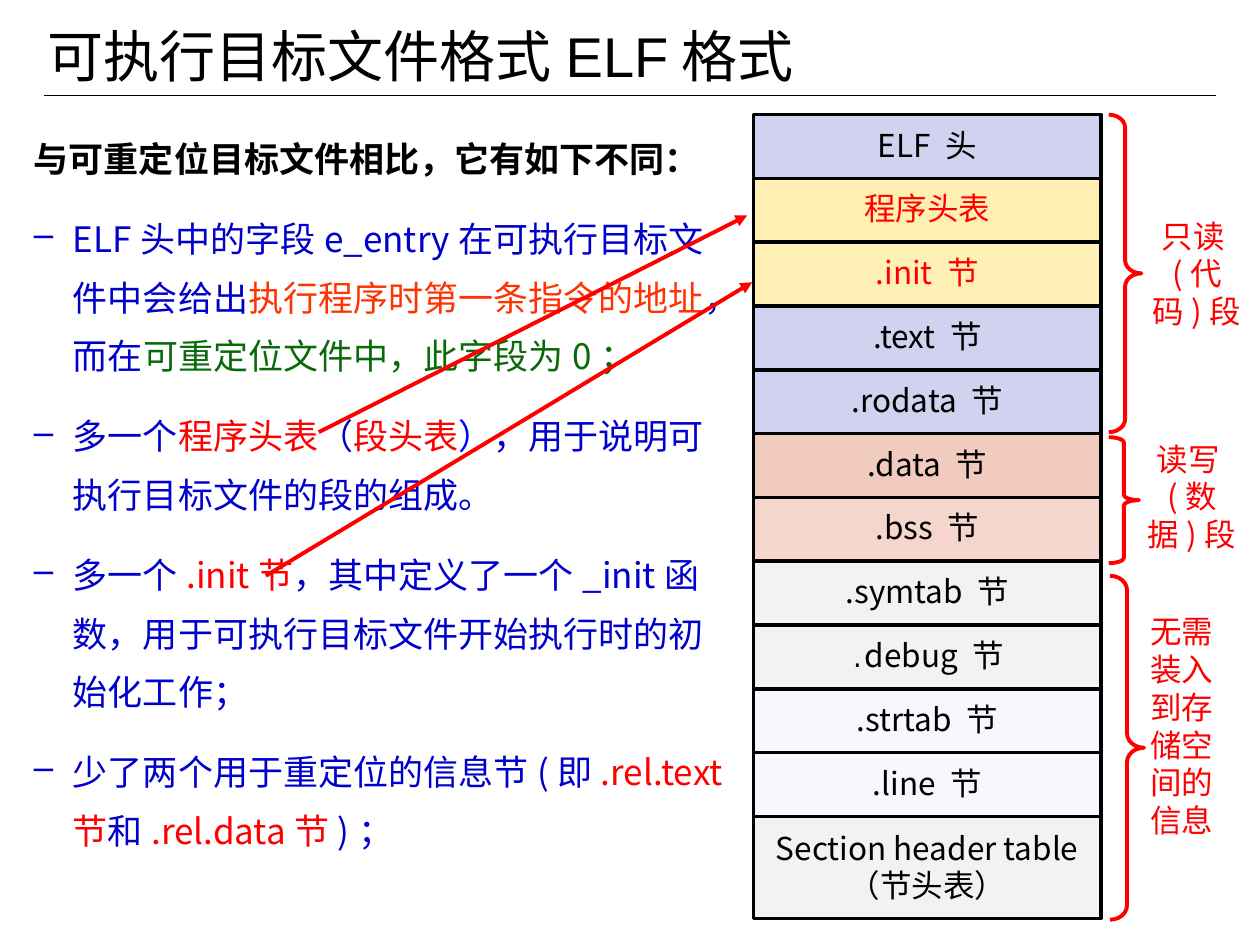
from lxml import etree
from pptx import Presentation
from pptx.dml.color import RGBColor
from pptx.enum.shapes import MSO_CONNECTOR, MSO_SHAPE
from pptx.enum.text import MSO_ANCHOR, MSO_AUTO_SIZE, PP_ALIGN
from pptx.oxml.ns import qn
from pptx.util import Inches, Pt

CJK = "Noto Sans CJK SC"
BLACK, RED, BLUE = "000000", "FF0000", "0000CC"
rgb = RGBColor.from_string


def write(p, runs, size, font=CJK, align=PP_ALIGN.LEFT, spacing=1.0, before=0):
    """Fill paragraph p with (text, colour) runs in one font and size."""
    p.alignment, p.line_spacing, p.space_before = align, spacing, Pt(before)
    p.font.size, p.font.name = Pt(size), font
    p.font.color.rgb = rgb(runs[0][1])
    def_rpr = p._p.pPr.find(qn("a:defRPr"))
    etree.SubElement(def_rpr, qn("a:ea"), typeface=CJK)
    for text, color in runs:
        r = p.add_run()
        r.text = text
        if color != runs[0][1]:
            r.font.color.rgb = rgb(color)


def add_line(x1, y1, x2, y2, color, width):
    line = s.shapes.add_connector(MSO_CONNECTOR.STRAIGHT, Inches(x1), Inches(y1),
                                  Inches(x2), Inches(y2))
    line.line.color.rgb = rgb(color)
    line.line.width = Pt(width)
    etree.SubElement(line._element.spPr, qn("a:effectLst"))
    return line


prs = Presentation()
prs.slide_width, prs.slide_height = Inches(10), Inches(7.5)
s = prs.slides.add_slide(prs.slide_layouts[6])

add_line(0.35, 0.76, 9.65, 0.76, BLACK, 0.75)

# File layout: label, fill, opacity in percent, text colour
sections = [
    ("ELF 头", "D1D1F0", 100, BLACK),
    ("程序头表", "FFCC00", 30, RED),
    (".init 节", "FFCC00", 29, RED),
    (".text 节", "D1D1F0", 100, BLACK),
    (".rodata 节", "D1D1F0", 100, BLACK),
    (".data 节", "CC3300", 25, BLACK),
    (".bss 节", "CC3300", 20, BLACK),
    (".symtab 节", "F2F2F2", 100, BLACK),
    (".debug 节", "F2F2F2", 100, BLACK),
    (".strtab 节", "D6D6F5", 19, BLACK),
    (".line 节", "D6D6F5", 19, BLACK),
    ("Section header table\n（节头表）", "F2F2F2", 100, BLACK),
]
top, last_top, last_height = 0.91, 6.48, 0.81
pitch = (last_top - top) / (len(sections) - 1)
for i, (label, fill, opacity, color) in enumerate(sections):
    is_last = i == len(sections) - 1
    sp = s.shapes.add_shape(MSO_SHAPE.RECTANGLE, Inches(5.98), Inches(top + i * pitch),
                            Inches(2.76), Inches(last_height if is_last else pitch))
    sp.shadow.inherit = False
    sp.fill.solid()
    sp.fill.fore_color.rgb = rgb(fill)
    if opacity < 100:
        clr = sp._element.spPr.find(qn("a:solidFill"))[0]
        etree.SubElement(clr, qn("a:alpha"), val=str(opacity * 1000))
    sp.line.color.rgb = rgb(BLACK)
    sp.line.width = Pt(2)
    tf = sp.text_frame
    tf.word_wrap = False
    tf.vertical_anchor = MSO_ANCHOR.MIDDLE
    for n, text in enumerate(label.split("\n")):
        p = tf.add_paragraph() if n else tf.paragraphs[0]
        runs = [(".", color), ("debug 节", color)] if text == ".debug 节" else [(text, color)]
        write(p, runs, 18, align=PP_ALIGN.CENTER, spacing=0.98 if i == 0 or is_last else 0.94)
        if len(runs) == 2:
            p.runs[0].font.name, p.runs[0].font.size = "Courier New", Pt(14)

# Segments: brace box, brace curl, label, label box, alignment
segments = [
    ((8.8, 0.91, 0.26, 2.52), 0.4, "只读(代码)段", (9.03, 1.67, 0.94, 1), PP_ALIGN.CENTER),
    ((8.8, 3.47, 0.24, 1), 0.18, "读写(数据)段", (8.99, 3.44, 0.94, 1), PP_ALIGN.CENTER),
    ((8.81, 4.57, 0.27, 2.73), 0.42, "无需装入到存储空间的信息", (9.03, 4.81, 0.76, 1.9),
     PP_ALIGN.LEFT),
]
for brace_box, curl, label, label_box, align in segments:
    sp = s.shapes.add_shape(MSO_SHAPE.RIGHT_BRACE, *map(Inches, brace_box))
    sp.shadow.inherit = False
    sp.fill.background()
    sp.line.color.rgb = rgb(RED)
    sp.line.width = Pt(2.25)
    sp.adjustments[0] = curl
    tf = s.shapes.add_textbox(*map(Inches, label_box)).text_frame
    tf.word_wrap = True
    tf.auto_size = MSO_AUTO_SIZE.SHAPE_TO_FIT_TEXT
    write(tf.paragraphs[0], [(label, RED)], 18, align=align, before=11.2)

# Differences from a relocatable file
sp = s.shapes.add_textbox(Inches(0.17), Inches(0.91), Inches(5.72), Inches(6.26))
sp.fill.solid()
sp.fill.fore_color.rgb = rgb("FFFFFF")
tf = sp.text_frame
tf.word_wrap = True
p = tf.paragraphs[0]
write(p, [("与可重定位目标文件相比，它有如下不同：", BLACK)], 20, spacing=1.4, before=12)
p.font.bold = True

differences = [
    [("ELF头中的字段e_entry在可执行目标文件中会给出", BLUE),
     ("执行程序时第一条指令的地址", "FF3300"), ("，而在", BLUE),
     ("可重定位文件中，此字段为0；", "0A6A0A")],
    [("多一个", BLUE), ("程序头表", RED), ("（", BLUE), ("段头表", RED), ("）", "0000FF"),
     ("，用于说明可执行目标文件的段的组成。", BLUE)],
    [("多一个", BLUE), (".init节", RED),
     ("，其中定义了一个_init函数，用于可执行目标文件开始执行时的初始化工作；", BLUE)],
    [("少了两个用于重定位的信息节(即", BLUE), (".rel.text节", RED), ("和", BLUE),
     (".rel.data节", RED), (")；", BLUE)],
]
for runs in differences:
    p = tf.add_paragraph()
    p.level = 1
    write(p, runs, 20, spacing=1.4, before=12)
    pPr = p._p.pPr
    pPr.set("marL", str(Inches(0.31)))
    pPr.set("indent", str(-Inches(0.31)))
    def_rpr = pPr.find(qn("a:defRPr"))
    bullet_color = etree.Element(qn("a:buClr"))
    etree.SubElement(bullet_color, qn("a:srgbClr"), val=BLUE)
    def_rpr.addprevious(bullet_color)
    def_rpr.addprevious(etree.Element(qn("a:buChar"), char="–"))

for ends in [(2.53, 3.43, 5.93, 1.71), (2.11, 4.57, 5.97, 2.24)]:
    arrow = add_line(*ends, RED, 2.25)
    etree.SubElement(arrow.line._get_or_add_ln(), qn("a:tailEnd"), type="triangle")

tf = s.shapes.add_textbox(Inches(0.28), Inches(0.01), Inches(9.53), Inches(0.86)).text_frame
tf.word_wrap = True
tf.vertical_anchor = MSO_ANCHOR.MIDDLE
write(tf.paragraphs[0], [("可执行目标文件格式ELF格式", BLACK)], 32, font="Arial")

prs.save("out.pptx")
